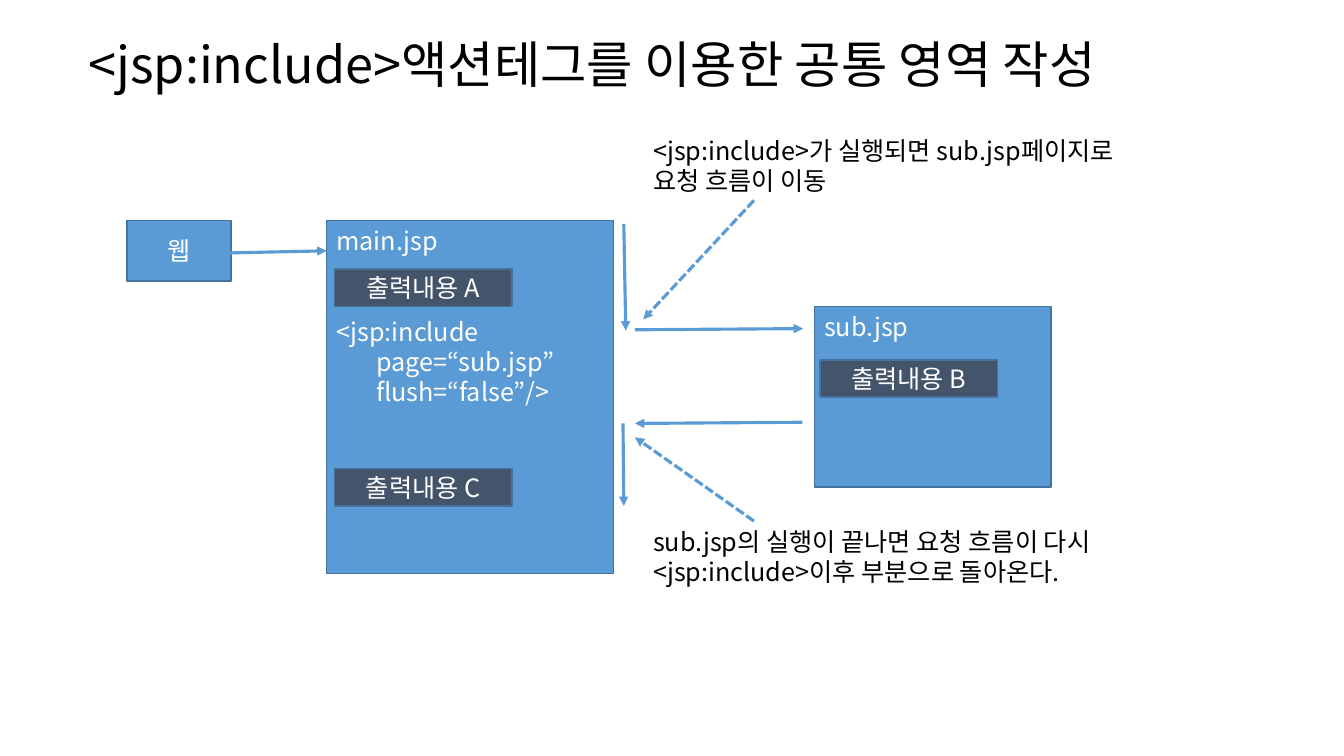
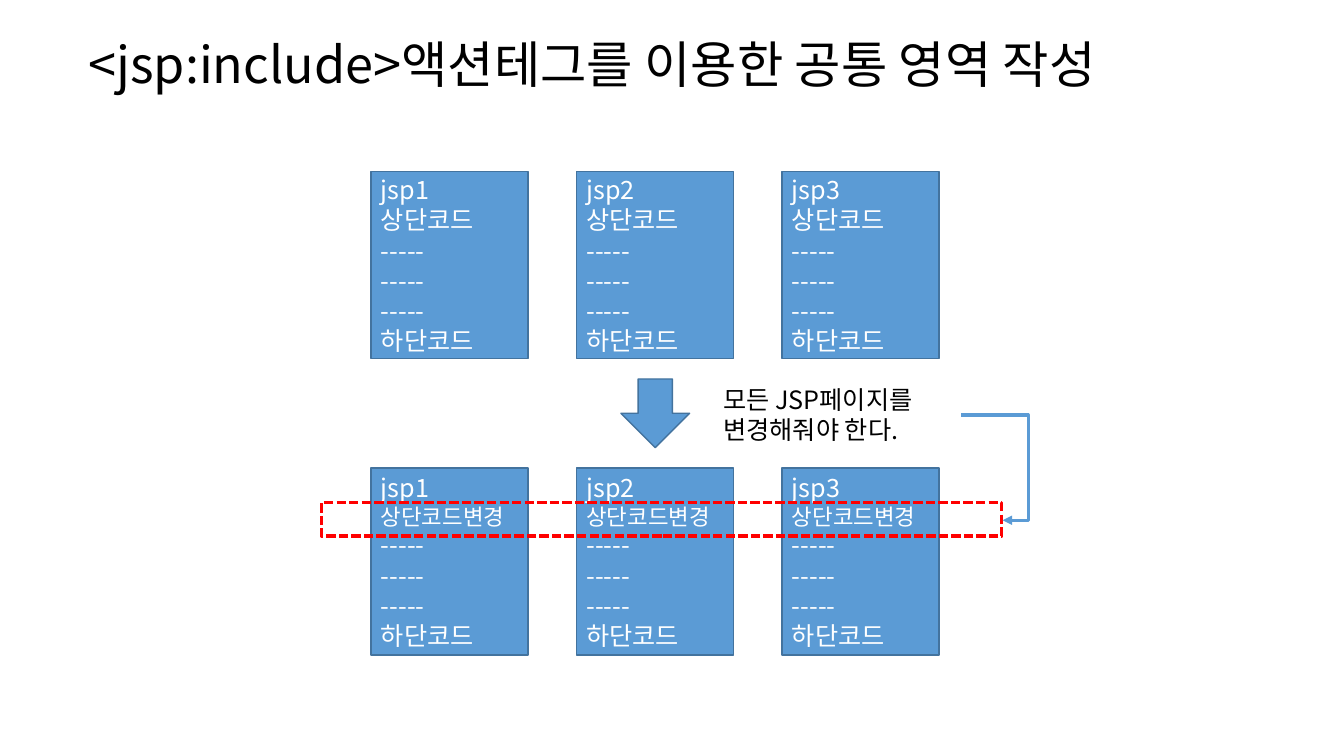
from dataclasses import dataclass

from lxml.etree import SubElement
from pptx import Presentation
from pptx.dml.color import RGBColor
from pptx.enum.dml import MSO_LINE
from pptx.enum.shapes import MSO_CONNECTOR as Link, MSO_SHAPE as Preset
from pptx.enum.text import MSO_ANCHOR as Anchor, MSO_AUTO_SIZE as AutoSize, PP_ALIGN as Align
from pptx.oxml.ns import qn
from pptx.util import Cm, Pt


@dataclass(frozen=True)
class Theme:
    """Colours, font and type sizes shared by the slides."""
    font: str = "Noto Sans CJK KR"
    ink: str = "000000"
    paper: str = "FFFFFF"
    blue: str = "5B9BD5"
    outline: str = "43739E"
    slate: str = "44546A"
    red: str = "FF0000"
    title: int = 36
    body: int = 18
    small: int = 16
    outline_width: float = 1
    stroke: float = 2.25


@dataclass(frozen=True)
class Box:
    """A region in centimetres."""
    left: float
    top: float
    width: float
    height: float

    def inner(self, dx, dy, width, height):
        """Return a box offset from this one's corner."""
        return Box(self.left + dx, self.top + dy, width, height)

    def point(self, dx, dy):
        """Return a point offset from this box's corner as lengths."""
        return Cm(self.left + dx), Cm(self.top + dy)

    @property
    def lengths(self):
        """Return left, top, width and height as lengths."""
        return Cm(self.left), Cm(self.top), Cm(self.width), Cm(self.height)


THEME = Theme()
TITLE = "<jsp:include>액션테그를 이용한 공통 영역 작성"
TITLE_BOX = Box(1.98, 0.71, 31.42, 1.8)


def rgb(code):
    """Turn a hex code into a colour."""
    return RGBColor.from_string(code)


def write(frame, lines, color, size=THEME.body, align=Align.LEFT):
    """Fill a text frame with one paragraph per line."""
    frame.word_wrap = True
    for index, line in enumerate(lines):
        paragraph = frame.paragraphs[0] if index == 0 else frame.add_paragraph()
        paragraph.text = line
        paragraph.alignment = align
        font = paragraph.font
        font.size = Pt(size)
        font.color.rgb = rgb(color)
        font.name = THEME.font
        defaults = paragraph._p.pPr.find(qn("a:defRPr"))
        SubElement(defaults, qn("a:ea"), typeface=THEME.font)
    return frame.paragraphs


def add_note(slide, box, lines, size=THEME.body):
    """Place dark text without a frame."""
    frame = slide.shapes.add_textbox(*box.lengths).text_frame
    write(frame, lines, THEME.ink, size)
    frame.auto_size = AutoSize.SHAPE_TO_FIT_TEXT


def add_block(slide, box, lines=(), fill=THEME.blue, preset=Preset.RECTANGLE,
              anchor=Anchor.MIDDLE, align=Align.LEFT):
    """Place a filled, outlined shape and return its paragraphs."""
    block = slide.shapes.add_shape(preset, *box.lengths)
    block.shadow.inherit = False
    block.fill.solid()
    block.fill.fore_color.rgb = rgb(fill)
    block.line.color.rgb = rgb(THEME.outline)
    block.line.width = Pt(THEME.outline_width)
    block.text_frame.vertical_anchor = anchor
    return write(block.text_frame, lines, THEME.paper, align=align)


def add_output(slide, box, letter):
    """Place a dark output label."""
    add_block(slide, box, [f"출력내용 {letter}"], THEME.slate, align=Align.CENTER)


def add_arrow(slide, start, end, dashed=False, bend=None):
    """Draw an arrow, bent at the given share of its width if any."""
    kind = Link.STRAIGHT if bend is None else Link.ELBOW
    arrow = slide.shapes.add_connector(kind, *start, *end)
    arrow.line.color.rgb = rgb(THEME.blue)
    arrow.line.width = Pt(THEME.stroke)
    if dashed:
        arrow.line.dash_style = MSO_LINE.SQUARE_DOT
    properties = arrow._element.spPr
    SubElement(properties.find(qn("a:ln")), qn("a:tailEnd"), type="triangle")
    SubElement(properties, qn("a:effectLst"))
    if bend is not None:
        adjustments = properties.find(qn("a:prstGeom")).get_or_add_avLst()
        SubElement(adjustments, qn("a:gd"), name="adj1", fmla=f"val {round(bend * 100000)}")


def add_main_page(slide, box):
    """Draw main.jsp with its include tag and two outputs."""
    code = add_block(slide, box, ["main.jsp", "<jsp:include", "page=“sub.jsp”", "flush=“false”/>"],
                     anchor=Anchor.TOP)
    code[1].space_before = Pt(43)
    for attribute in code[2:]:
        attribute._p.pPr.set("marL", str(Cm(1)))
    for letter, top in (("A", 1.22), ("C", 6.25)):
        add_output(slide, box.inner(0.2, top, 4.47, 0.94), letter)


def add_sub_page(slide, box):
    """Draw sub.jsp with its output."""
    add_block(slide, box, ["sub.jsp"], anchor=Anchor.TOP)
    add_output(slide, box.inner(0.15, 1.35, 4.47, 0.94), "B")


def add_request_flow(slide, box):
    """Show how a request moves from main.jsp to sub.jsp and back."""
    add_block(slide, box.inner(0, 2.28, 2.62, 1.52), ["웹"], align=Align.CENTER)
    add_main_page(slide, box.inner(5.03, 2.28, 7.24, 8.89))
    add_sub_page(slide, box.inner(17.32, 4.44, 5.97, 4.55))
    steps = [
        ((2.24, 3.1), (5.03, 3.04)),
        ((12.52, 2.36), (12.57, 5.05)),
        ((12.8, 5.03), (17.04, 5)),
        ((17.02, 7.36), (12.8, 7.39)),
        ((12.5, 7.39), (12.52, 9.47)),
    ]
    for start, end in steps:
        add_arrow(slide, box.point(*start), box.point(*end))
    remarks = [
        (0, ["<jsp:include>가 실행되면 sub.jsp페이지로", "요청 흐름이 이동"],
         (15.8, 1.77), (13.01, 4.77)),
        (9.85, ["sub.jsp의 실행이 끝나면 요청 흐름이 다시 <jsp:include>이후 부분으로 돌아온다."],
         (15.8, 9.85), (12.8, 7.74)),
    ]
    for top, lines, start, end in remarks:
        add_note(slide, box.inner(13.01, top, 12.8, 1.8), lines)
        add_arrow(slide, box.point(*start), box.point(*end), dashed=True)


def add_page_row(slide, box, header, header_size=THEME.body):
    """Draw three jsp pages evenly spread over the box."""
    width = 3.96
    pitch = (box.width - width) / 2
    for index in range(3):
        page = box.inner(index * pitch, 0, width, box.height)
        code = add_block(slide, page, [f"jsp{index + 1}", header, *["-----"] * 3, "하단코드"])
        code[1].font.size = Pt(header_size)


def add_change_mark(slide, box):
    """Outline the changed lines with a red dashed frame."""
    mark = slide.shapes.add_shape(Preset.RECTANGLE, *box.lengths)
    mark.shadow.inherit = False
    mark.fill.background()
    mark.line.color.rgb = rgb(THEME.red)
    mark.line.width = Pt(THEME.stroke)
    mark.line.dash_style = MSO_LINE.SQUARE_DOT


def add_code_change(slide, box):
    """Compare the pages before and after the shared code changes."""
    add_page_row(slide, box.inner(1.25, 0, 14.32, 4.72), "상단코드")
    add_page_row(slide, box.inner(1.25, 7.47, 14.32, 4.72), "상단코드변경", THEME.small)
    add_block(slide, box.inner(7.55, 5.23, 1.73, 1.73), preset=Preset.DOWN_ARROW)
    add_note(slide, box.inner(9.88, 5.23, 6.25, 1.8), ["모든 JSP페이지를 변경해줘야 한다."])
    add_change_mark(slide, box.inner(0, 8.35, 17.15, 0.84))
    add_arrow(slide, box.point(16.13, 6.14), box.point(17.17, 8.79), bend=1.62)


def main():
    """Build and save the slides."""
    deck = Presentation()
    deck.slide_width, deck.slide_height = Cm(33.87), Cm(19.05)
    regions = [
        (add_request_flow, Box(3.2, 3.28, 25.81, 11.65)),
        (add_code_change, Box(8.1, 4.32, 18, 12.19)),
    ]
    for add_region, box in regions:
        slide = deck.slides.add_slide(deck.slide_layouts[6])
        add_note(slide, TITLE_BOX, [TITLE], THEME.title)
        add_region(slide, box)
    deck.save("out.pptx")


main()
